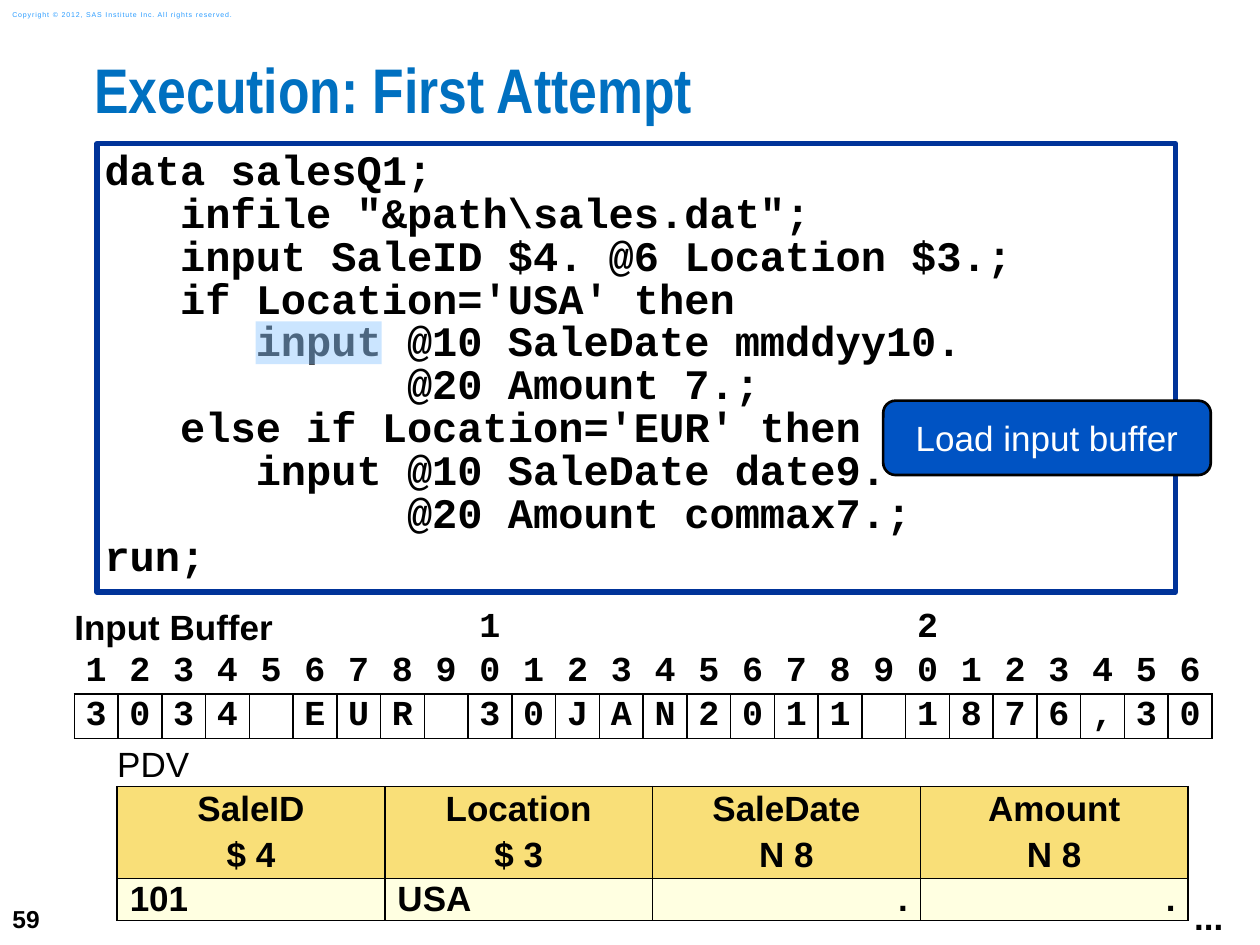
from dataclasses import dataclass

from lxml import etree
from pptx import Presentation
from pptx.dml.color import RGBColor
from pptx.enum.shapes import MSO_SHAPE as Preset
from pptx.enum.text import MSO_ANCHOR as Anchor, PP_ALIGN as Align
from pptx.oxml.ns import qn
from pptx.util import Inches, Pt

BLACK, WHITE = "000000", "FFFFFF"
CODE = """data salesQ1;
   infile "&path\\sales.dat";
   input SaleID $4. @6 Location $3.;
   if Location='USA' then
      input @10 SaleDate mmddyy10.
            @20 Amount 7.;
   else if Location='EUR' then
      input @10 SaleDate date9.
            @20 Amount commax7.;
run;"""
BUFFER_RECORD = "3034 EUR 30JAN2011 1876,30"


@dataclass(frozen=True)
class TextStyle:
    size: float = 20
    font: str = "Arial"
    color: str = BLACK
    bold: bool = True
    align: Align = Align.LEFT
    line_spacing: float = 1.0
    gap: float = 0


@dataclass(frozen=True)
class Place:
    left: float
    top: float
    width: float
    height: float

    def lengths(self):
        return [Inches(n) for n in (self.left, self.top, self.width, self.height)]


@dataclass(frozen=True)
class Variable:
    name: str
    kind: str
    value: str
    align: Align


MONO = TextStyle(font="Courier New", align=Align.CENTER)
HEADING = TextStyle(align=Align.CENTER, gap=4)
VARIABLES = [
    Variable("SaleID", "$ 4", "101", Align.LEFT),
    Variable("Location", "$ 3", "USA", Align.LEFT),
    Variable("SaleDate", "N 8", ".", Align.RIGHT),
    Variable("Amount", "N 8", ".", Align.RIGHT),
]


def rgb(color: str) -> RGBColor:
    return RGBColor.from_string(color)


def write(frame, text: str, style: TextStyle) -> None:
    """Put each line of text in its own paragraph."""
    for number, line in enumerate(text.split("\n")):
        para = frame.add_paragraph() if number else frame.paragraphs[0]
        para.add_run().text = line
        para.alignment = style.align
        para.line_spacing = style.line_spacing
        para.space_before = Pt(style.gap if number else 0)
        para.font.size = Pt(style.size)
        para.font.name = style.font
        para.font.bold = style.bold
        para.font.color.rgb = rgb(style.color)


def set_margins(target, across: float, down: float) -> None:
    target.margin_left = target.margin_right = Inches(across)
    target.margin_top = target.margin_bottom = Inches(down)


def add_text(page, place: Place, text: str, style: TextStyle, *, across=0.1,
             down=0.05, anchor=Anchor.TOP, wrap=True):
    box = page.shapes.add_textbox(*place.lengths())
    frame = box.text_frame
    frame.word_wrap = wrap
    frame.vertical_anchor = anchor
    set_margins(frame, across, down)
    write(frame, text, style)
    return box


def add_box(page, preset: Preset, place: Place, fill: str, line: str = "",
            line_width: float = 0):
    shape = page.shapes.add_shape(preset, *place.lengths())
    shape.shadow.inherit = False
    shape.fill.solid()
    shape.fill.fore_color.rgb = rgb(fill)
    if line:
        shape.line.color.rgb = rgb(line)
        shape.line.width = Pt(line_width)
    else:
        shape.line.fill.background()
    return shape


def add_grid(page, place: Place, row_heights: list[float], columns: int):
    """Add an unstyled table with equal columns."""
    frame = page.shapes.add_table(len(row_heights), columns, *place.lengths())
    table = frame.table
    table.first_row = table.horz_banding = False
    for column in table.columns:
        column.width = Inches(place.width / columns)
    for row, height in zip(table.rows, row_heights):
        row.height = Inches(height)
    return table


def set_cell(cell, text: str, style: TextStyle, *, borders="", fill="",
             across=0.0) -> None:
    """Fill in a cell; borders names the sides (L, R, T, B) that have a line."""
    properties = cell._tc.get_or_add_tcPr()
    for side in "LRTB":
        line = etree.SubElement(properties, qn(f"a:ln{side}"), w=str(Pt(1)))
        if side in borders:
            solid = etree.SubElement(line, qn("a:solidFill"))
            etree.SubElement(solid, qn("a:srgbClr"), val=BLACK)
        else:
            etree.SubElement(line, qn("a:noFill"))
    if fill:
        cell.fill.solid()
        cell.fill.fore_color.rgb = rgb(fill)
    else:
        cell.fill.background()
    set_margins(cell, across, 0)
    cell.vertical_anchor = Anchor.MIDDLE
    write(cell.text_frame, text, style)


def add_input_buffer(page) -> None:
    count = len(BUFFER_RECORD)
    table = add_grid(page, Place(0.59, 4.81, 9.03, 1.04), [0.35] * 3, count)
    table.cell(0, 0).merge(table.cell(0, 8))
    for column, character in enumerate(BUFFER_RECORD):
        tens, units = divmod(column + 1, 10)
        top = str(tens) if units == 0 else ""
        if column == 0:
            set_cell(table.cell(0, 0), "Input Buffer", TextStyle())
        else:
            set_cell(table.cell(0, column), top, MONO)
        set_cell(table.cell(1, column), str(units), MONO, borders="B")
        set_cell(table.cell(2, column), character.strip(), MONO, borders="LRTB")


def add_pdv(page) -> None:
    table = add_grid(page, Place(0.93, 5.91, 8.5, 1.4), [0.33, 0.73, 0.33],
                     len(VARIABLES))
    table.cell(0, 0).merge(table.cell(0, len(VARIABLES) - 1))
    for column, variable in enumerate(VARIABLES):
        set_cell(table.cell(0, column), "" if column else "PDV",
                 TextStyle(bold=False), borders="B", fill=WHITE)
        set_cell(table.cell(1, column), f"{variable.name}\n{variable.kind}", HEADING,
                 borders="LRTB", fill="F9DF78", across=0.1)
        set_cell(table.cell(2, column), variable.value, TextStyle(align=variable.align),
                 borders="LRTB", fill="FFFFE1", across=0.1)


def main() -> None:
    deck = Presentation()
    deck.slide_width, deck.slide_height = Inches(10), Inches(7.5)
    page = deck.slides.add_slide(deck.slide_layouts[6])

    add_text(page, Place(0, 7.08, 0.58, 0.42), "59", TextStyle(size=14),
             anchor=Anchor.MIDDLE, wrap=False)
    notice = add_text(page, Place(0, 0.03, 2.11, 0.17),
                      "Copyright © 2012, SAS Institute Inc. All rights reserved.",
                      TextStyle(size=4, color="2A9CFF", bold=False), anchor=Anchor.MIDDLE)
    for span in notice.text_frame.paragraphs[0].runs:
        span._r.get_or_add_rPr().set("spc", "50")
    add_text(page, Place(0.75, 0.5, 9.25, 0.74), "Execution: First Attempt",
             TextStyle(36, "Arial Narrow", "0070C0", line_spacing=0.83), across=0, down=0)

    listing = add_box(page, Preset.RECTANGLE, Place(0.77, 1.14, 8.56, 3.56), WHITE,
                      "003399", 3)
    listing.text_frame.vertical_anchor = Anchor.TOP
    set_margins(listing.text_frame, 0.06, 0.06)
    write(listing.text_frame, CODE, TextStyle(24, "Courier New", line_spacing=0.85))

    add_input_buffer(page)
    add_pdv(page)

    callout = add_box(page, Preset.ROUNDED_RECTANGLE, Place(7.01, 3.18, 2.6, 0.59),
                      "0053C3", BLACK, 1.5)
    set_margins(callout.text_frame, 0.1, 0.1)
    write(callout.text_frame, "Load input buffer",
          TextStyle(color=WHITE, bold=False, align=Align.CENTER))
    add_text(page, Place(9.38, 7.06, 0.43, 0.44), "...", TextStyle(), wrap=False)

    highlight = add_box(page, Preset.RECTANGLE, Place(2.03, 2.55, 1, 0.34), "99CCFF")
    tint = highlight._element.spPr.find(f"{qn('a:solidFill')}/{qn('a:srgbClr')}")
    etree.SubElement(tint, qn("a:alpha"), val="50000")

    deck.save("out.pptx")


if __name__ == "__main__":
    main()
